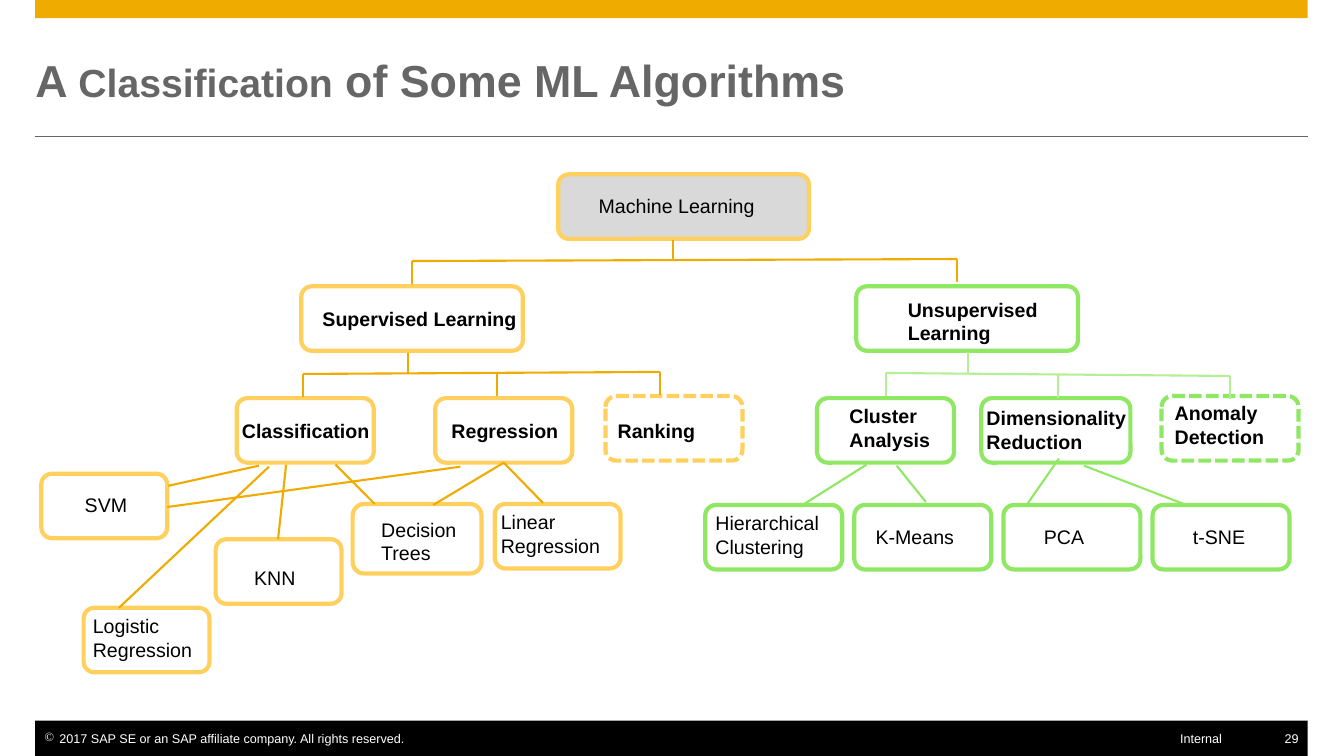
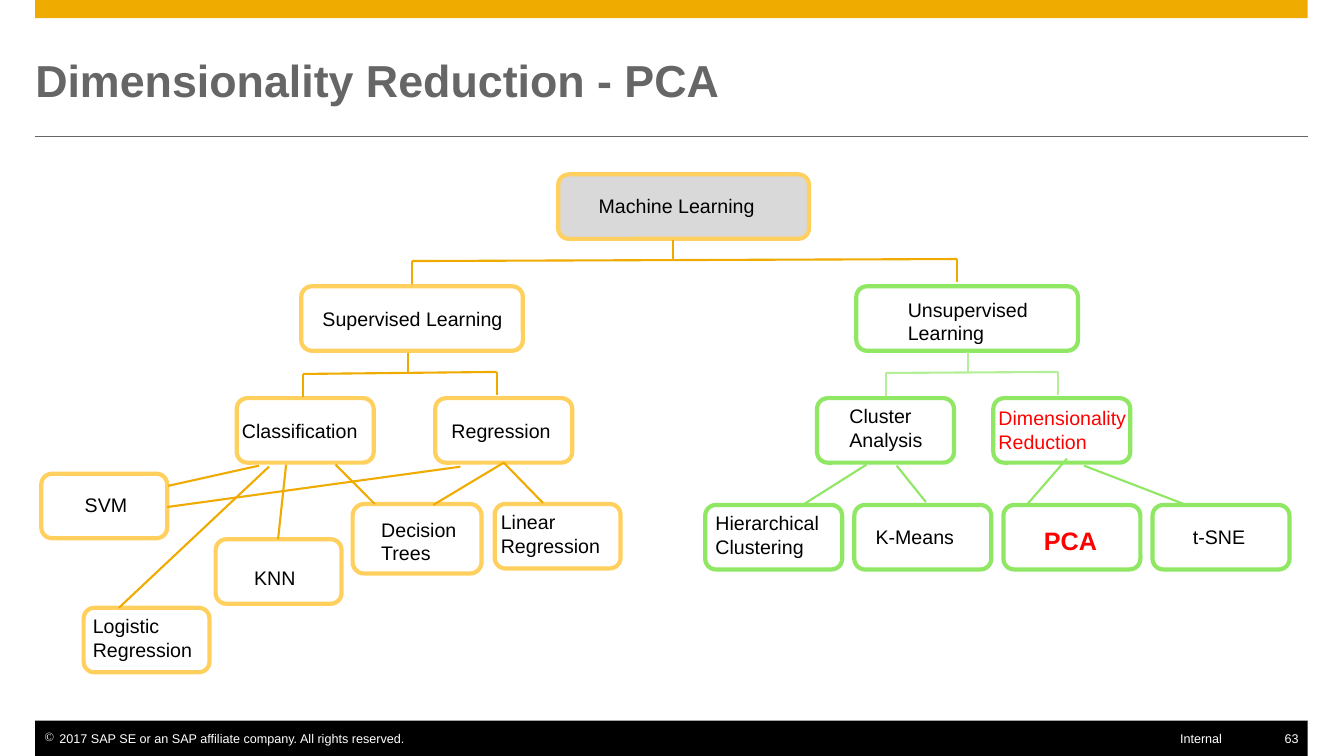
from dataclasses import dataclass

from lxml import etree
from pptx import Presentation
from pptx.dml.color import RGBColor
from pptx.enum.dml import MSO_LINE
from pptx.enum.shapes import MSO_CONNECTOR, MSO_SHAPE
from pptx.enum.text import MSO_ANCHOR, MSO_AUTO_SIZE, PP_ALIGN
from pptx.oxml.ns import qn
from pptx.util import Inches, Pt

RECT, ROUND = MSO_SHAPE.RECTANGLE, MSO_SHAPE.ROUNDED_RECTANGLE
STRAIGHT = MSO_CONNECTOR.STRAIGHT
DASH = MSO_LINE.SQUARE_DOT
LEFT, RIGHT = PP_ALIGN.LEFT, PP_ALIGN.RIGHT
TOP, BOTTOM = MSO_ANCHOR.TOP, MSO_ANCHOR.BOTTOM


@dataclass(frozen=True)
class Theme:
    font: str = "Arial"
    gold: str = "F0AB00"
    light_gold: str = "FFD05D"
    green: str = "8FE764"
    light_green: str = "B4EF98"
    grey: str = "666666"
    root_fill: str = "D9D9D9"
    black: str = "000000"
    white: str = "FFFFFF"
    red: str = "FF0000"
    title_size: int = 32
    title_small: int = 28
    accent_size: int = 18
    node_size: int = 14
    footer_size: int = 9
    node_line: float = 3
    branch_line: float = 1.5
    rule_line: float = 0.5


THEME = Theme()
MARGIN, CONTENT_WIDTH = 0.35, 12.63
NODE_HEIGHT = 0.64
CORNER_INSET = 0.03  # a rounded rectangle starts its text area this far in

# text, left, top, width, height, label offset from the box corner
SUPERVISED_LEAVES = [
    ("SVM", 0.41, 4.7, 1.25, NODE_HEIGHT, (0.43, 0.19)),
    ("KNN", 2.14, 5.35, 1.25, NODE_HEIGHT, (0.38, 0.26)),
    ("Logistic Regression", 0.83, 6.03, 1.25, NODE_HEIGHT, (0.09, 0.06)),
    ("Decision Trees", 3.5, 5, 1.28, 0.69, (0.28, 0.13)),
    ("Linear Regression", 4.91, 5, 1.25, NODE_HEIGHT, (0.06, 0.06)),
]
UNSUPERVISED_LEAVES = [
    ("Hierarchical Clustering", (0.1, 0.06)),
    ("K-Means", (0.21, 0.2)),
    ("PCA", (0.4, 0.2)),
    ("t-SNE", (0.4, 0.2)),
]
SUPERVISED_LINKS = [
    (2.57, 4.62, 1.67, 4.82), (2.84, 4.61, 2.76, 5.35),
    (3.33, 4.61, 3.72, 5), (5, 4.59, 5.39, 4.99), (5, 4.59, 4.3, 5.01),
    (2.67, 4.63, 1.18, 6.03), (4.57, 4.63, 1.66, 5.03),
]
UNSUPERVISED_LINKS = [
    (8.9, 4.62, 9.19, 4.98), (8.6, 4.61, 7.95, 5.02), (10.76, 4.62, 11.75, 5),
]


def rgb(colour):
    return RGBColor.from_string(colour)


class Deck:
    def __init__(self, theme):
        self.theme = theme
        self.prs = Presentation()
        self.prs.slide_width, self.prs.slide_height = Inches(13.34), Inches(7.5)
        self.slide = None

    def add_slide(self, title_runs, number):
        """Start a slide; title_runs holds (text, size) pairs."""
        self.slide = self.prs.slides.add_slide(self.prs.slide_layouts[5])
        self.frame(number)
        self.title(title_runs)

    def frame(self, number):
        t = self.theme
        self.box(RECT, MARGIN, 0, CONTENT_WIDTH, 0.18, fill=t.gold)
        self.line(MARGIN, 1.35, MARGIN + CONTENT_WIDTH, 1.35, t.grey, t.rule_line)
        self.box(RECT, MARGIN, 7.15, CONTENT_WIDTH, 0.35, fill=t.black)
        self.footer("2017 SAP SE or an SAP affiliate company. All rights reserved.",
                    0.44, 5, LEFT, bullet="©")
        self.footer("Internal", 10.76, 1.37, RIGHT)
        self.footer(str(number), 12.39, 0.5, RIGHT)

    def title(self, runs):
        t = self.theme
        title = self.slide.shapes.title
        title.left, title.top = Inches(MARGIN), Inches(0.35)
        title.width, title.height = Inches(CONTENT_WIDTH), Inches(0.71)
        paragraph = self.prepare(title.text_frame, BOTTOM)
        for text, size in runs:
            run = paragraph.add_run()
            run.text = text
            run.font.size = Pt(size)
        self.style(paragraph, t.title_size, t.grey, True, LEFT)

    def prepare(self, frame, anchor, left=0, top=0):
        frame.word_wrap = True
        frame.auto_size = MSO_AUTO_SIZE.NONE
        frame.vertical_anchor = anchor
        frame.margin_left, frame.margin_top = Inches(left), Inches(top)
        frame.margin_right = frame.margin_bottom = 0
        return frame.paragraphs[0]

    def style(self, paragraph, size, colour, bold, align):
        paragraph.alignment = align
        font = paragraph.font
        font.name, font.size, font.bold = self.theme.font, Pt(size), bold
        font.color.rgb = rgb(colour)

    def footer(self, text, x, width, align, bullet=None):
        t = self.theme
        holder = self.slide.shapes.add_textbox(
            Inches(x), Inches(7.25), Inches(width), Inches(0.15))
        paragraph = self.prepare(holder.text_frame, TOP)
        paragraph.text = text
        if bullet:
            properties = paragraph._p.get_or_add_pPr()
            properties.set("marL", str(Inches(0.15)))
            properties.set("indent", str(-Inches(0.15)))
            etree.SubElement(properties, qn("a:buChar")).set("char", bullet)
        self.style(paragraph, t.footer_size, t.white, False, align)

    def box(self, kind, x, y, width, height, fill=None, outline=None, dash=None):
        shape = self.slide.shapes.add_shape(
            kind, Inches(x), Inches(y), Inches(width), Inches(height))
        shape.shadow.inherit = False
        if fill:
            shape.fill.solid()
            shape.fill.fore_color.rgb = rgb(fill)
        else:
            shape.fill.background()
        if outline:
            shape.line.color.rgb = rgb(outline)
            shape.line.width = Pt(self.theme.node_line)
            if dash:
                shape.line.dash_style = dash
        else:
            shape.line.fill.background()
        return shape

    def node(self, text, x, y, width, height, offset, outline, fill=None,
             dash=None, bold=False, colour=None, size=None):
        t = self.theme
        shape = self.box(ROUND, x, y, width, height, fill, outline, dash)
        dx, dy = offset
        paragraph = self.prepare(shape.text_frame, TOP,
                                 dx - CORNER_INSET, dy - CORNER_INSET)
        paragraph.text = text
        self.style(paragraph, size or t.node_size, colour or t.black, bold, LEFT)

    def line(self, x1, y1, x2, y2, colour, width=None):
        connector = self.slide.shapes.add_connector(
            STRAIGHT, Inches(x1), Inches(y1), Inches(x2), Inches(y2))
        connector.line.color.rgb = rgb(colour)
        connector.line.width = Pt(width or self.theme.branch_line)
        etree.SubElement(connector._element.spPr, qn("a:effectLst"))

    def bracket(self, trunk_x, trunk_top, bar_left, bar_right, child_xs, colour):
        """Trunk, bar from height bar_left to bar_right, and a drop per child."""
        first, last = child_xs[0], child_xs[-1]

        def bar_y(x):
            return bar_left + (bar_right - bar_left) * (x - first) / (last - first)

        self.line(trunk_x, trunk_top, trunk_x, bar_y(trunk_x), colour)
        self.line(first, bar_left, last, bar_right, colour)
        for x in child_xs:
            self.line(x, bar_y(x), x, bar_y(x) + 0.23, colour)

    def algorithm_tree(self, bold, pca_style):
        """The part of the tree that both slides show."""
        t = self.theme
        gold, green = t.light_gold, t.green
        self.node("Machine Learning", 5.54, 1.73, 2.49, NODE_HEIGHT, (0.4, 0.19),
                  gold, fill=t.root_fill)
        for text, x, y, width, offset, outline in [
            ("Supervised Learning", 2.99, 2.84, 2.2, (0.21, 0.2), gold),
            ("Unsupervised Learning", 8.5, 2.84, 2.2, (0.51, 0.11), green),
            ("Classification", 2.35, 3.95, 1.36, (0.05, 0.21), gold),
            ("Regression", 4.32, 3.95, 1.36, (0.16, 0.2), gold),
            ("Cluster Analysis", 8.11, 3.95, 1.36, (0.32, 0.06), green),
        ]:
            self.node(text, x, y, width, NODE_HEIGHT, offset, outline, bold=bold)
        for leaf in SUPERVISED_LEAVES:
            self.node(*leaf, gold)
        for column, (text, offset) in enumerate(UNSUPERVISED_LEAVES):
            emphasis = pca_style if text == "PCA" else {}
            self.node(text, 7 + 1.48 * column, 5.01, 1.36, NODE_HEIGHT, offset,
                      green, **emphasis)
        self.bracket(6.68, 2.38, 2.59, 2.57, [4.09, 9.5], t.gold)
        for link in SUPERVISED_LINKS:
            self.line(*link, t.gold)
        for link in UNSUPERVISED_LINKS:
            self.line(*link, green)

    def second_level(self, supervised_xs, unsupervised_xs, bar_right, pca_x):
        t = self.theme
        self.bracket(4.05, 3.5, 3.71, 3.69, supervised_xs, t.gold)
        self.bracket(9.61, 3.49, 3.7, bar_right, unsupervised_xs, t.light_green)
        self.line(pca_x, 4.55, 10.19, 5.01, t.green)


def classification_slide(deck):
    t = deck.theme
    deck.add_slide([("A ", t.title_size), ("Classification", t.title_small),
                    (" of Some ML Algorithms", t.title_size)], 29)
    deck.algorithm_tree(bold=True, pca_style={})
    deck.node("Dimensionality Reduction", 9.74, 3.95, 1.48, NODE_HEIGHT,
              (0.05, 0.08), t.green, bold=True)
    deck.node("Ranking", 6.01, 3.93, 1.36, NODE_HEIGHT, (0.12, 0.22),
              t.light_gold, dash=DASH, bold=True)
    deck.node("Anomaly Detection", 11.53, 3.93, 1.36, NODE_HEIGHT, (0.13, 0.05),
              t.green, dash=DASH, bold=True)
    deck.second_level([3.01, 4.93, 6.55], [8.79, 10.5, 12.21], 3.73, 10.51)


def pca_slide(deck):
    t = deck.theme
    deck.add_slide([("Dimensionality Reduction - PCA", t.title_size)], 63)
    deck.algorithm_tree(bold=False, pca_style={
        "bold": True, "colour": t.red, "size": t.accent_size})
    deck.node("Dimensionality Reduction", 9.86, 3.95, 1.36, NODE_HEIGHT,
              (0.05, 0.08), t.green, colour=t.red)
    deck.second_level([3.01, 4.93], [8.79, 10.5], 3.69, 10.59)


def main():
    deck = Deck(THEME)
    classification_slide(deck)
    pca_slide(deck)
    deck.prs.save("out.pptx")


if __name__ == "__main__":
    main()
